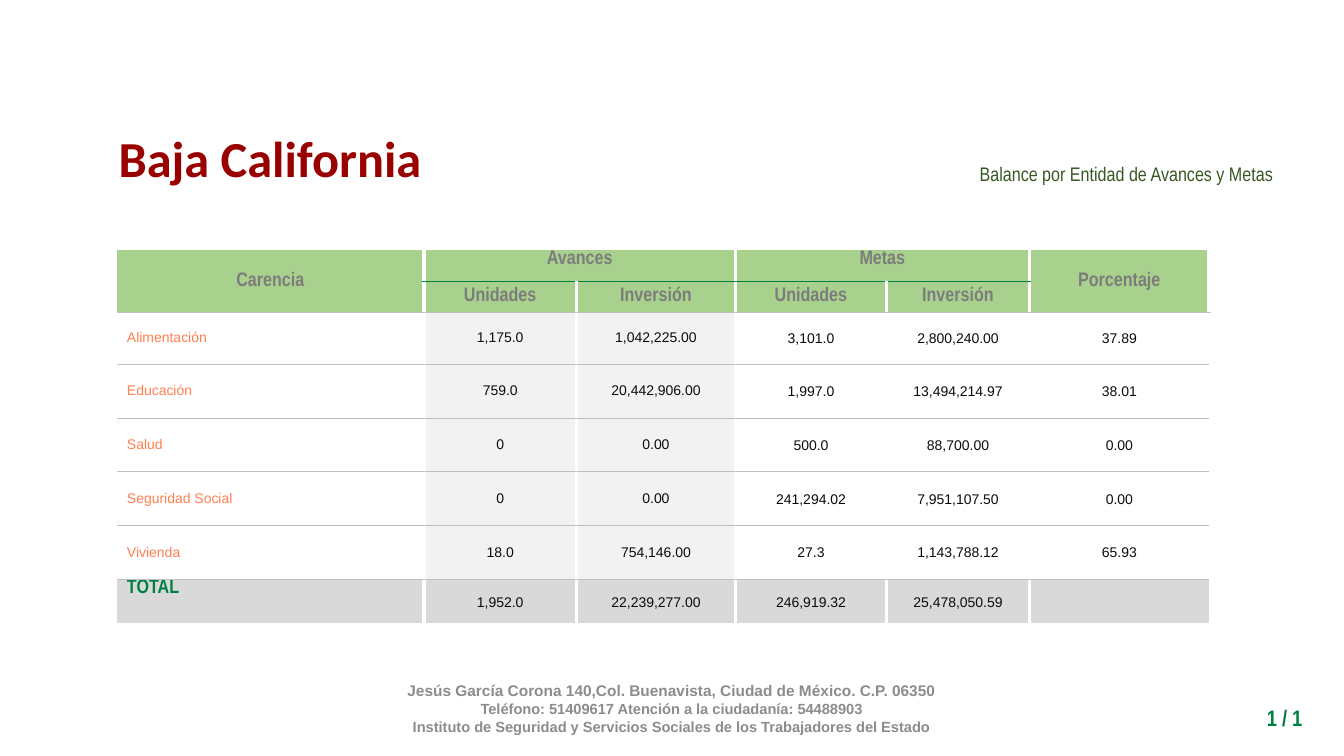
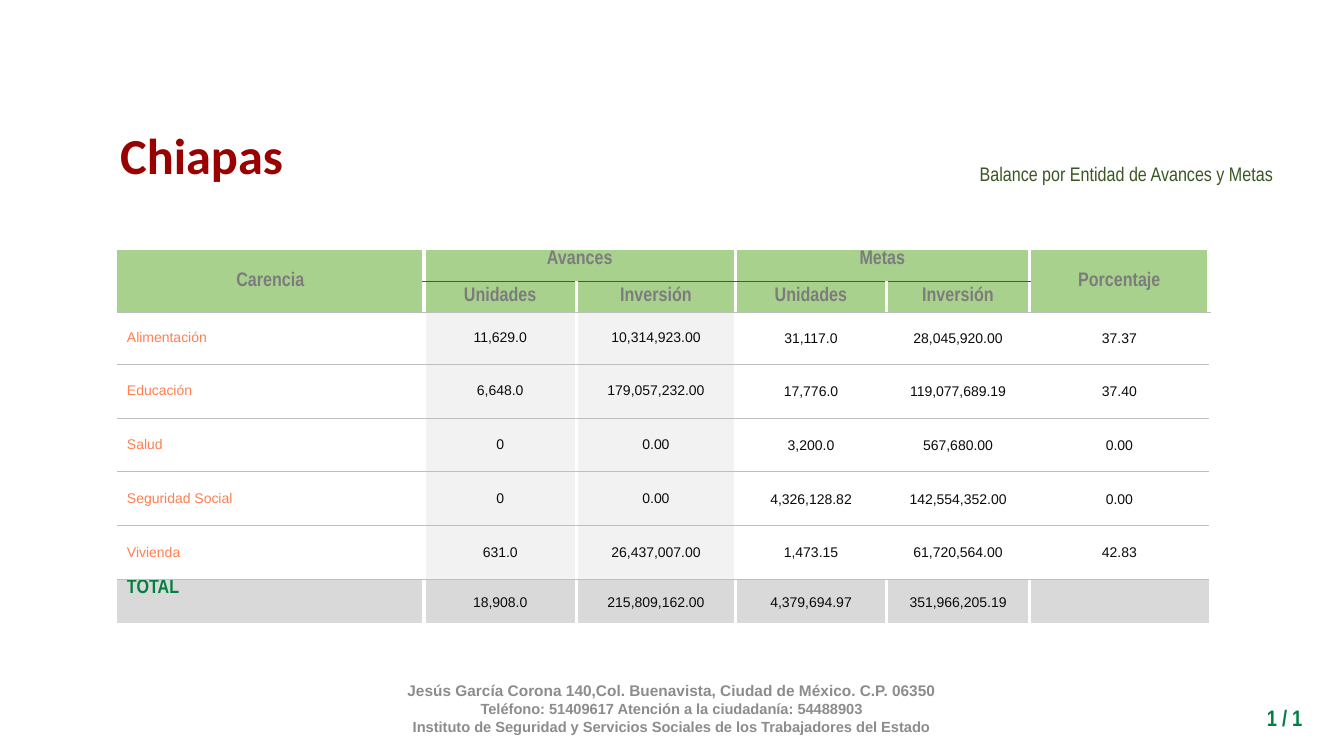
import lxml.etree
import pptx
import pptx.dml.color
import pptx.enum.text
import pptx.oxml.ns
import pptx.util

Pt = pptx.util.Pt
ALIGN = pptx.enum.text.PP_ALIGN
ANCHOR = pptx.enum.text.MSO_ANCHOR

GREEN, LIME, RED, CORAL = "008040", "A9D18E", "990000", "FF7F50"
WHITE, PALE, SILVER, RULE, INK = "FFFFFF", "F2F2F2", "D9D9D9", "BFBFBF", "0B0B0B"

TITLE = {"name": "Calibri", "size": Pt(36), "bold": True}
SUBTITLE = {"name": "Arial Narrow", "size": Pt(14), "bold": False}
NUMBER = {"name": "Arial Narrow", "size": Pt(16), "bold": True}
HEADING = {"name": "Arial Narrow", "size": Pt(14), "bold": True}
BODY = {"name": "Arial", "size": Pt(10), "bold": False}
FOOTER = {"name": "Arial", "size": Pt(11), "bold": True}
FOOTER_SMALL = {**FOOTER, "size": Pt(10.5)}

FOOTER_LINES = [
    ("Jesús García Corona 140,Col. Buenavista, Ciudad de México. C.P. 06350", FOOTER),
    ("Teléfono: 51409617 Atención a la ciudadanía: 54488903", FOOTER_SMALL),
    ("Instituto de Seguridad y Servicios Sociales de los Trabajadores del Estado", FOOTER_SMALL),
]
COLUMN_WIDTHS = [219.3, 109, 113.5, 108, 102, 128.5]
ROW_HEIGHTS = [22.2, 22.2, 37, 38.5, 38.5, 38.5, 38.5, 32.5]
HEADER_ROWS = [
    ["Carencia", "Avances", "", "Metas", "", "Porcentaje"],
    ["", "Unidades", "Inversión", "Unidades", "Inversión", ""],
]
HEADER_SPANS = [(0, 0, 1, 0), (0, 1, 0, 2), (0, 3, 0, 4), (0, 5, 1, 5)]

STATES = [
    ("Baja California", (76.3, 87.1, 233.3, 51), [
        ["Alimentación", "1,175.0", "1,042,225.00", "3,101.0", "2,800,240.00", "37.89"],
        ["Educación", "759.0", "20,442,906.00", "1,997.0", "13,494,214.97", "38.01"],
        ["Salud", "0", "0.00", "500.0", "88,700.00", "0.00"],
        ["Seguridad Social", "0", "0.00", "241,294.02", "7,951,107.50", "0.00"],
        ["Vivienda", "18.0", "754,146.00", "27.3", "1,143,788.12", "65.93"],
        ["TOTAL", "1,952.0", "22,239,277.00", "246,919.32", "25,478,050.59", ""],
    ]),
    ("Chiapas", (77.8, 85.3, 132.5, 51), [
        ["Alimentación", "11,629.0", "10,314,923.00", "31,117.0", "28,045,920.00", "37.37"],
        ["Educación", "6,648.0", "179,057,232.00", "17,776.0", "119,077,689.19", "37.40"],
        ["Salud", "0", "0.00", "3,200.0", "567,680.00", "0.00"],
        ["Seguridad Social", "0", "0.00", "4,326,128.82", "142,554,352.00", "0.00"],
        ["Vivienda", "631.0", "26,437,007.00", "1,473.15", "61,720,564.00", "42.83"],
        ["TOTAL", "18,908.0", "215,809,162.00", "4,379,694.97", "351,966,205.19", ""],
    ]),
]


def colour(value):
    """Turn a hex string into a colour."""
    return pptx.dml.color.RGBColor.from_string(value)


def apply(target, values):
    """Set every attribute in a dict of format values."""
    for name, value in values.items():
        setattr(target, name, value)


def add_line(parent, tag, hex_value, width, position):
    """Insert a solid line element into a run or cell property element."""
    line = lxml.etree.Element(pptx.oxml.ns.qn(tag), w=str(Pt(width)))
    fill = lxml.etree.SubElement(line, pptx.oxml.ns.qn("a:solidFill"))
    lxml.etree.SubElement(fill, pptx.oxml.ns.qn("a:srgbClr"), val=hex_value)
    parent.insert(position, line)


def write(para, text, font, hex_value, align):
    """Put one formatted run in a paragraph."""
    para.alignment = align
    span = para.add_run()
    span.text = text
    apply(span.font, font)
    span.font.color.rgb = colour(hex_value)
    return span


def add_text(page, box, lines, hex_value, align, anchor=ANCHOR.MIDDLE, wrap=True, spacing=None):
    """Add a text box with one paragraph for each line and font."""
    frame = page.shapes.add_textbox(*map(Pt, box)).text_frame
    apply(frame, {"word_wrap": wrap, "vertical_anchor": anchor})
    for index, (text, font) in enumerate(lines):
        para = frame.add_paragraph() if index else frame.paragraphs[0]
        span = write(para, text, font, hex_value, align)
        para.line_spacing = spacing
    return span


def cell_style(row, column, last_row):
    """Give the fill, font, text colour and alignment of a cell."""
    if row < len(HEADER_ROWS):
        return LIME, HEADING, "7C7C7C", ALIGN.CENTER
    total = row == last_row
    if column == 0:
        return (SILVER, HEADING, GREEN, ALIGN.LEFT) if total else (WHITE, BODY, CORAL, ALIGN.LEFT)
    shade = SILVER if total else PALE if column in (1, 2) else WHITE
    return shade, BODY, INK, ALIGN.CENTER


def cell_borders(row, column, last_row, last_column):
    """List the borders of a cell in schema order."""
    borders = []
    if column > 0:
        borders.append(("a:lnL", WHITE, 3))
    if column < last_column:
        borders.append(("a:lnR", WHITE, 3))
    inner = 0 < column < last_column
    if row > 0:
        borders.append(("a:lnT", GREEN, 0.25) if row == 1 else ("a:lnT", RULE, 0.5))
    if row == last_row:
        borders.append(("a:lnB", WHITE, 3))
    else:
        borders.append(("a:lnB", GREEN, 0.25) if row == 0 and inner else ("a:lnB", RULE, 0.5))
    return borders


def add_balance_table(page, left, top, records):
    """Add the table of progress and goals at the given corner."""
    rows = HEADER_ROWS + records
    last_row, last_column = len(rows) - 1, len(COLUMN_WIDTHS) - 1
    box = (left, top, sum(COLUMN_WIDTHS), sum(ROW_HEIGHTS))
    table = page.shapes.add_table(len(rows), len(COLUMN_WIDTHS), *map(Pt, box)).table
    apply(table, {"first_row": False, "horz_banding": False})
    style = table._tbl.tblPr.find(pptx.oxml.ns.qn("a:tableStyleId"))
    style.text = "{2D5ABB26-0587-4C30-8999-92F81FD0307C}"
    for column, width in zip(table.columns, COLUMN_WIDTHS):
        column.width = Pt(width)
    for row, height in zip(table.rows, ROW_HEIGHTS):
        row.height = Pt(height)
    for first_row, first_column, end_row, end_column in HEADER_SPANS:
        table.cell(first_row, first_column).merge(table.cell(end_row, end_column))
    for row, texts in enumerate(rows):
        for column, text in enumerate(texts):
            cell = table.cell(row, column)
            if cell.is_spanned:
                continue
            shade, font, ink, align = cell_style(row, column, last_row)
            raised = text in ("Avances", "Metas", "TOTAL")
            apply(cell, {
                "margin_top": Pt(0), "margin_bottom": Pt(0),
                "vertical_anchor": ANCHOR.TOP if raised else ANCHOR.MIDDLE,
            })
            if column > 2 and row >= len(HEADER_ROWS):
                apply(cell, {"margin_left": Pt(0.7), "margin_right": Pt(0.7), "margin_top": Pt(0.7)})
            if text:
                write(cell.text_frame.paragraphs[0], text, font, ink, align)
            cell.fill.solid()
            cell.fill.fore_color.rgb = colour(shade)
            properties = cell._tc.get_or_add_tcPr()
            for position, border in enumerate(cell_borders(row, column, last_row, last_column)):
                add_line(properties, *border, position)


def add_state_page(deck, name, title_box, records):
    """Add the slide of one state."""
    page = deck.slides.add_slide(deck.slide_layouts[6])
    add_text(page, (207.4, 491.7, 545, 28.8), FOOTER_LINES, "8C8C8C", ALIGN.CENTER, spacing=Pt(13))
    add_balance_table(page, 83.5, 178.6, records)
    add_text(page, (481.7, 88.6, 434.9, 68.4), [("Balance por Entidad de Avances y Metas", SUBTITLE)],
             "385723", ALIGN.RIGHT, spacing=1.15)
    add_text(page, (846.7, 499.7, 90.7, 26.6), [("1 / 1", NUMBER)], GREEN, ALIGN.RIGHT, ANCHOR.TOP)
    span = add_text(page, title_box, [(name, TITLE)], RED, ALIGN.CENTER, ANCHOR.TOP, wrap=False)
    add_line(span.font._element, "a:ln", WHITE, 0.75, 0)


def main():
    """Build and save the deck."""
    deck = pptx.Presentation()
    apply(deck, {"slide_width": Pt(960), "slide_height": Pt(540)})
    for state in STATES:
        add_state_page(deck, *state)
    deck.save("out.pptx")


if __name__ == "__main__":
    main()
